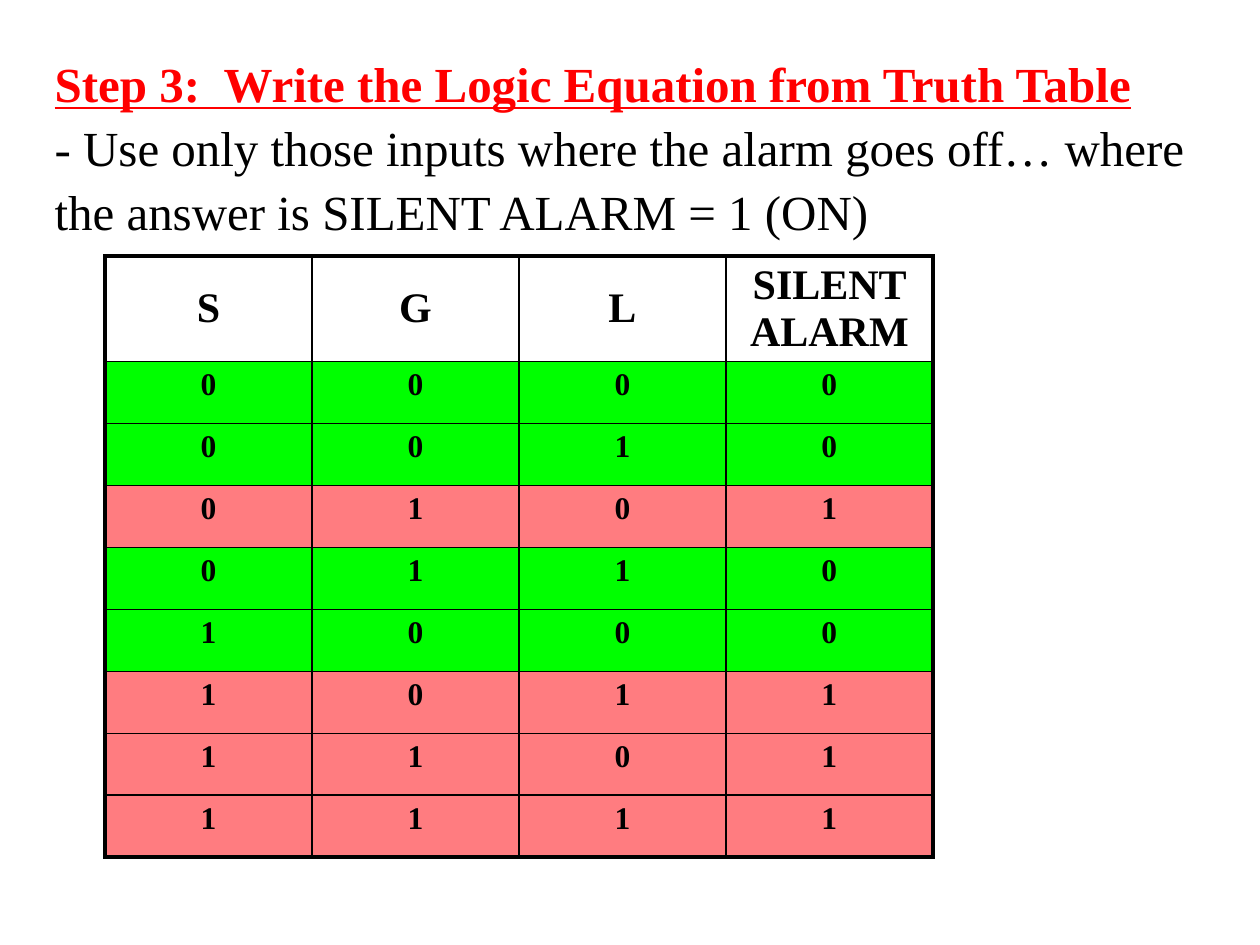
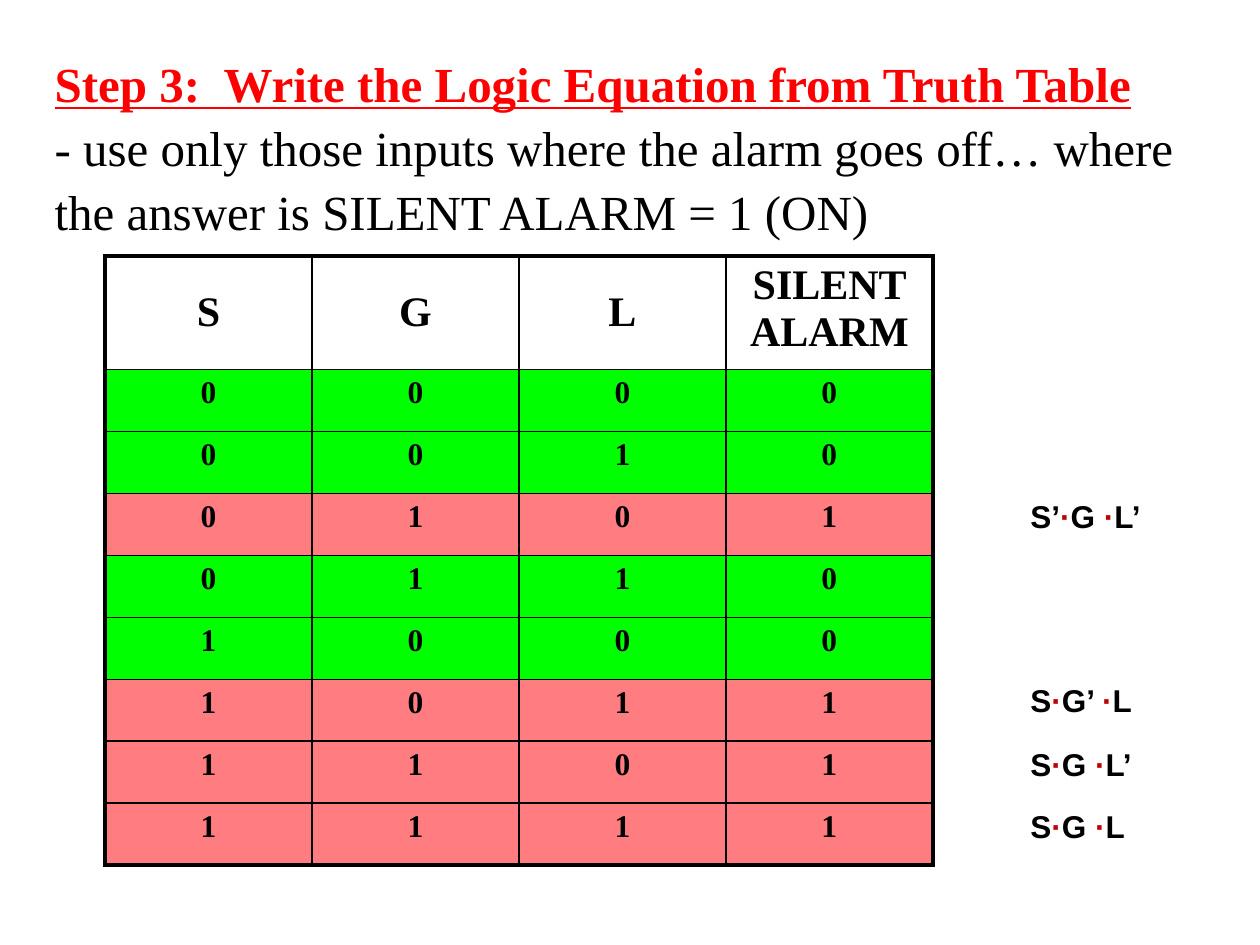
from dataclasses import dataclass

from lxml import etree
from pptx import Presentation
from pptx.dml.color import RGBColor
from pptx.enum.text import MSO_ANCHOR, MSO_AUTO_SIZE, PP_ALIGN
from pptx.oxml.ns import qn
from pptx.util import Emu, Pt

HEADING = "Step 3:  Write the Logic Equation from Truth Table"
ADVICE = "- {} only those inputs where the alarm goes off… where the answer is SILENT ALARM = 1 (ON)"
HEADERS = ["S", "G", "L", "SILENT ALARM"]
TRUTH_ROWS = ["0000", "0010", "0101", "0110", "1000", "1011", "1101", "1111"]
SLIDES = [
    {"verb": "Use", "header_height": 104, "terms": []},
    {"verb": "use", "header_height": 112, "terms": [
        ("S’·G ·L’", 488, 181),
        ("S·G’ ·L", 672, 169),
        ("S·G ·L’", 736, 166),
        ("S·G ·L", 798, 158),
    ]},
]

# Lengths in px, 126 to the inch
SCALE = 914400 // 126
SLIDE_SIZE = (1260, 945)
TITLE_BOX = (42, 21, 1176, 305)
TITLE_BOTTOM_MARGIN = 64
TABLE_LEFT, TABLE_TOP = 105, 256
COLUMN_WIDTH, ROW_HEIGHT = 207, 62
TERM_LEFT, TERM_HEIGHT, TERM_TOP_MARGIN = 1018, 63, 9

LEFT, CENTER = PP_ALIGN.LEFT, PP_ALIGN.CENTER
TOP, MIDDLE = MSO_ANCHOR.TOP, MSO_ANCHOR.MIDDLE
NO_AUTOFIT = MSO_AUTO_SIZE.NONE


@dataclass(frozen=True)
class Theme:
    black: str = "000000"
    heading: str = "FF0000"
    dot: str = "C00000"
    alarm_off: str = "00FF00"
    alarm_on: str = "FF7C80"
    serif: str = "Times New Roman"
    sans: str = "Arial"
    title_size: int = 28
    header_size: int = 24
    body_size: int = 18
    title_spacing: float = 1.09
    thin: float = 1
    thick: float = 2.25


THEME = Theme()


def px(length):
    return Emu(length * SCALE)


def add_span(para, text, size=THEME.body_size, font=THEME.serif,
             color=THEME.black, bold=True, underline=False):
    span = para.add_run()
    span.text = text
    span.font.size = Pt(size)
    span.font.name = font
    span.font.color.rgb = RGBColor.from_string(color)
    span.font.bold = bold
    span.font.underline = underline


def set_title(page, verb):
    title = page.shapes.title
    title.left, title.top, title.width, title.height = map(px, TITLE_BOX)
    frame = title.text_frame
    frame.auto_size = NO_AUTOFIT
    frame.word_wrap = True
    frame.vertical_anchor = MIDDLE
    frame.margin_bottom = px(TITLE_BOTTOM_MARGIN)
    para = frame.paragraphs[0]
    para.alignment = LEFT
    para.line_spacing = THEME.title_spacing
    add_span(para, HEADING, size=THEME.title_size, color=THEME.heading, underline=True)
    para.add_line_break()
    line_break = para._p.find(qn("a:br"))
    etree.SubElement(line_break, qn("a:rPr"), sz=str(THEME.title_size * 100))
    add_span(para, ADVICE.format(verb), size=THEME.title_size, bold=False)


def add_term(page, term, top, width):
    """Write one product term with its dots in the accent colour."""
    box = page.shapes.add_textbox(*map(px, (TERM_LEFT, top, width, TERM_HEIGHT)))
    frame = box.text_frame
    frame.word_wrap = False
    frame.margin_top = px(TERM_TOP_MARGIN)
    para = frame.paragraphs[0]
    for index, factor in enumerate(term.split("·")):
        if index:
            add_span(para, "·", font=THEME.sans, color=THEME.dot)
        add_span(para, factor, font=THEME.sans)


def set_borders(cell, outer_edges):
    """Draw the four borders; outer_edges maps L, R, T, B to True on the table's rim."""
    properties = cell._tc.get_or_add_tcPr()
    for side, is_outer in outer_edges.items():
        width = THEME.thick if is_outer else THEME.thin
        line = etree.SubElement(properties, qn(f"a:ln{side}"), w=str(Pt(width)))
        fill = etree.SubElement(line, qn("a:solidFill"))
        etree.SubElement(fill, qn("a:srgbClr"), val=THEME.black)


def add_truth_table(page, header_height):
    rows = [HEADERS, *TRUTH_ROWS]
    last_row, last_column = len(rows) - 1, len(HEADERS) - 1
    width = COLUMN_WIDTH * len(HEADERS)
    height = header_height + ROW_HEIGHT * len(TRUTH_ROWS)
    table = page.shapes.add_table(len(rows), len(HEADERS),
                                  *map(px, (TABLE_LEFT, TABLE_TOP, width, height))).table
    for column in table.columns:
        column.width = px(COLUMN_WIDTH)
    for r, values in enumerate(rows):
        is_header = r == 0
        table.rows[r].height = px(header_height if is_header else ROW_HEIGHT)
        for c, value in enumerate(values):
            cell = table.cell(r, c)
            set_borders(cell, {"L": c == 0, "R": c == last_column,
                               "T": is_header, "B": r == last_row})
            if is_header:
                cell.fill.background()
            else:
                color = THEME.alarm_on if values[-1] == "1" else THEME.alarm_off
                cell.fill.solid()
                cell.fill.fore_color.rgb = RGBColor.from_string(color)
            cell.vertical_anchor = MIDDLE if is_header and c < last_column else TOP
            para = cell.text_frame.paragraphs[0]
            para.alignment = CENTER
            add_span(para, value, size=THEME.header_size if is_header else THEME.body_size)


def main():
    deck = Presentation()
    deck.slide_width, deck.slide_height = map(px, SLIDE_SIZE)
    title_only = deck.slide_layouts.get_by_name("Title Only")
    for content in SLIDES:
        page = deck.slides.add_slide(title_only)
        set_title(page, content["verb"])
        for term in content["terms"]:
            add_term(page, *term)
        add_truth_table(page, content["header_height"])
    deck.save("out.pptx")


if __name__ == "__main__":
    main()
